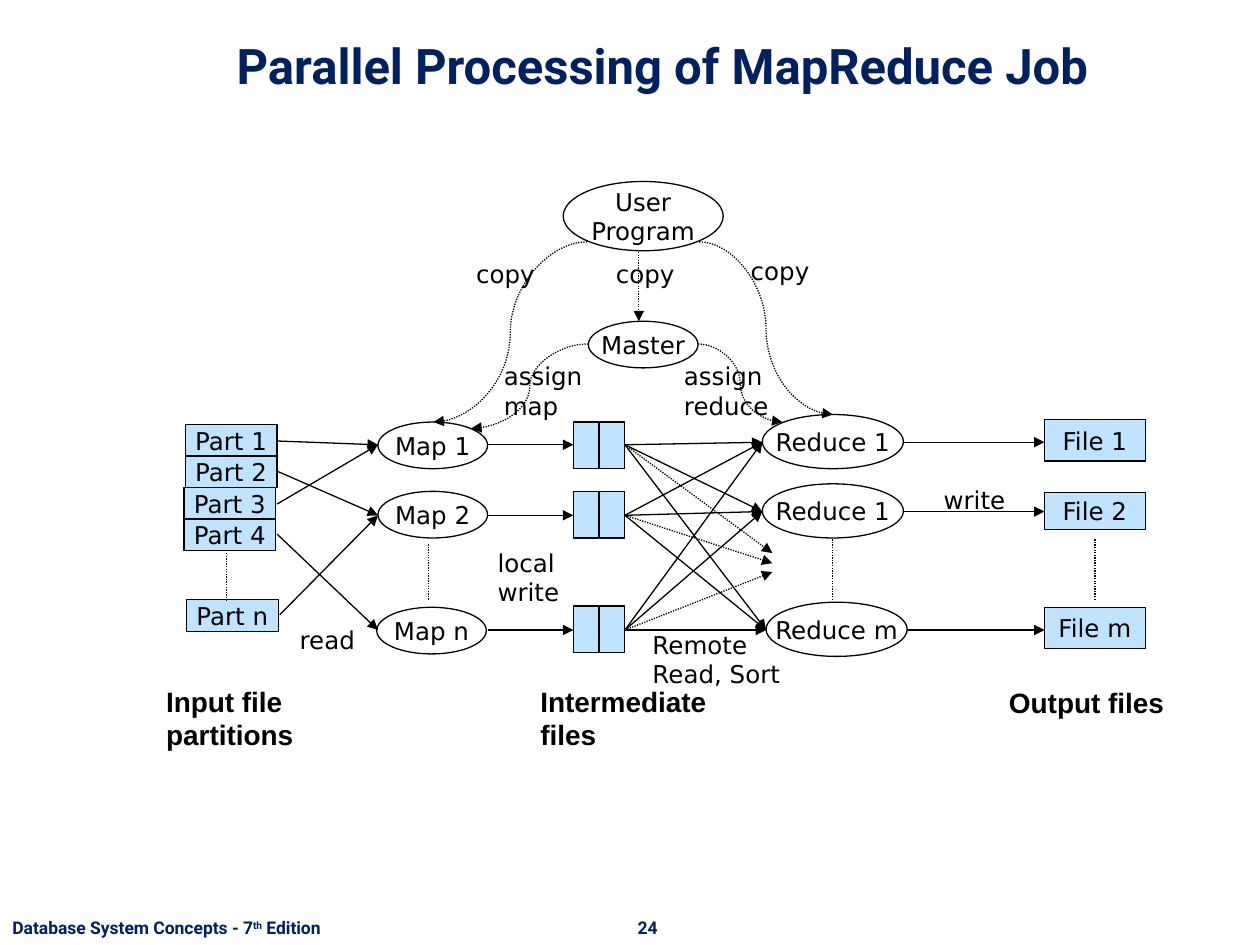
from dataclasses import dataclass
from itertools import product

from lxml import etree
from pptx import Presentation
from pptx.dml.color import RGBColor
from pptx.enum.dml import MSO_LINE
from pptx.enum.shapes import MSO_CONNECTOR, MSO_SHAPE
from pptx.enum.text import MSO_ANCHOR, PP_ALIGN
from pptx.oxml.ns import qn
from pptx.util import Inches, Pt

LEFT, CENTER = PP_ALIGN.LEFT, PP_ALIGN.CENTER
TOP, MIDDLE, BOTTOM = MSO_ANCHOR.TOP, MSO_ANCHOR.MIDDLE, MSO_ANCHOR.BOTTOM
OVAL, RECT = MSO_SHAPE.OVAL, MSO_SHAPE.RECTANGLE
STRAIGHT, CURVE = MSO_CONNECTOR.STRAIGHT, MSO_CONNECTOR.CURVE
DOTTED = MSO_LINE.ROUND_DOT
COLUMNS, ROWS = 100, 75


@dataclass(frozen=True)
class TextStyle:
    font: str
    size: float
    color: RGBColor
    bold: bool = False


class Theme:
    navy = RGBColor(0x00, 0x20, 0x60)
    black = RGBColor(0, 0, 0)
    storage = RGBColor(0x83, 0xCA, 0xFF)
    storage_alpha = 50
    line_width = 0.75
    title = TextStyle("Roboto", 28, navy, True)
    footer = TextStyle("Roboto", 10, navy, True)
    label = TextStyle("DejaVu Sans", 14, black)
    caption = TextStyle("Arial", 16, black, True)


class Diagram:
    """Draws on one slide, in columns and rows of its grid."""

    def __init__(self, prs, theme):
        self.theme = theme
        self.s = prs.slides.add_slide(prs.slide_layouts[5])
        self.col = prs.slide_width / COLUMNS
        self.row = prs.slide_height / ROWS

    def place(self, x, y, w, h):
        return (round(x * self.col), round(y * self.row),
                round(w * self.col), round(h * self.row))

    def set_text(self, tf, text, style, align, anchor, wrap=False):
        tf.word_wrap = wrap
        tf.vertical_anchor = anchor
        tf.text = text
        for p in tf.paragraphs:
            p.alignment = align
            p.font.name = style.font
            p.font.size = Pt(style.size)
            p.font.bold = style.bold
            p.font.color.rgb = style.color

    def title(self, text, *box):
        sp = self.s.shapes.title
        sp.left, sp.top, sp.width, sp.height = self.place(*box)
        self.set_text(sp.text_frame, text, self.theme.title, CENTER, BOTTOM, True)

    def text(self, text, x, y, w, h, style=None, align=LEFT):
        sp = self.s.shapes.add_textbox(*self.place(x, y, w, h))
        self.set_text(sp.text_frame, text, style or self.theme.label, align, TOP)
        return sp.text_frame

    def outline(self, line, dash=None):
        line.color.rgb = self.theme.black
        line.width = Pt(self.theme.line_width)
        if dash:
            line.dash_style = dash

    def node(self, kind, text, x, y, w, h):
        """Ovals are clear processes; rectangles are half-transparent storage."""
        sp = self.s.shapes.add_shape(kind, *self.place(x, y, w, h))
        sp.shadow.inherit = False
        self.outline(sp.line)
        if kind == OVAL:
            sp.fill.background()
        else:
            sp.fill.solid()
            sp.fill.fore_color.rgb = self.theme.storage
            color = sp._element.spPr.find(qn("a:solidFill")).find(qn("a:srgbClr"))
            etree.SubElement(color, qn("a:alpha"),
                             val=str(self.theme.storage_alpha * 1000))
        if text:
            self.set_text(sp.text_frame, text, self.theme.label, CENTER, MIDDLE)

    def link(self, start, end, dash=None, arrow=True, kind=STRAIGHT):
        cn = self.s.shapes.add_connector(kind, *self.place(*start, *end))
        self.outline(cn.line, dash)
        spPr = cn._element.spPr
        if arrow:
            etree.SubElement(spPr.find(qn("a:ln")), qn("a:tailEnd"), type="triangle")
        etree.SubElement(spPr, qn("a:effectLst"))


def draw_nodes(d):
    d.node(OVAL, "User\nProgram", 44.7, 14.4, 12.7, 5.5)
    d.node(OVAL, "Master", 46.7, 25.5, 8.7, 3.7)
    for text, x, y in (("Map 1", 30, 33.5), ("Map 2", 30, 39), ("Map n", 29.9, 48.2)):
        d.node(OVAL, text, x, y, 8.7, 3.7)
    for text, x, y in (("Reduce 1", 60.5, 32.9), ("Reduce 1", 60.5, 38.4),
                       ("Reduce m", 60.8, 47.8)):
        d.node(OVAL, text, x, y, 11.2, 4.3)
    for text, x, y in (("Part 1", 14.7, 33.7), ("Part 2", 14.7, 36.2),
                       ("Part 3", 14.6, 38.7), ("Part 4", 14.6, 41.2),
                       ("Part n", 14.8, 47.6)):
        d.node(RECT, text, x, y, 7.3, 2.5)
    for y, x in product((33.5, 39, 48.1), (45.5, 47.6)):
        d.node(RECT, "", x, y, 2, 3.7)
    for text, y, h in (("File 1", 33.3, 3.3), ("File 2", 39.1, 2.9), ("File m", 48.2, 3.3)):
        d.node(RECT, text, 82.9, y, 8, h)


def draw_links(d):
    map_rows = (35.3, 40.9, 50)
    reduce_inputs = ((60.5, 35.1), (60.5, 40.6), (60.8, 50))

    for x, y, target in ((22, 35, 0), (22, 37.4, 1), (22, 40, 0), (22, 42.4, 2),
                         (22.2, 48.8, 1)):
        d.link((x, y), (30, map_rows[target]))
    for y, unseen_reduce in zip(map_rows, (43.9, 44.7, 45.4)):
        d.link((38.7, y), (45.5, y))
        for target in reduce_inputs:
            d.link((49.6, y), target)
        d.link((49.6, y), (61.3, unseen_reduce), DOTTED)
    for x, y in reduce_inputs:
        d.link((x + 11.2, y), (82.9, y))

    d.link((50.7, 20), (50.7, 25.5), DOTTED)
    for start, end in (((46.6, 19.2), (34.4, 33.5)), ((55.5, 19.2), (66.1, 32.9)),
                       ((46.7, 27.3), (37.4, 34)), ((55.4, 27.3), (62.1, 33.5))):
        d.link(start, end, DOTTED, kind=CURVE)
    for x, top in ((18, 43.9), (34, 43.2), (66.1, 42.8), (86.9, 42.8)):
        d.link((x, top), (x, 47.6), DOTTED, arrow=False)


def draw_texts(d):
    for text, *box in (("copy", 36.8, 20.1, 7.1, 3.3), ("copy", 47.9, 20.1, 7.1, 3.3),
                       ("copy", 58.6, 19.8, 7.1, 3.3),
                       ("assign\nmap", 39, 28.2, 8.9, 5.6),
                       ("assign\nreduce", 53.3, 28.2, 8.9, 5.6),
                       ("read", 22.8, 49.1, 6.9, 3.3),
                       ("local\nwrite", 38.5, 43, 7.5, 5.6),
                       ("Remote\nRead, Sort", 50.8, 49.5, 13.5, 5.6),
                       ("write", 73.9, 38, 7.5, 3.3)):
        d.text(text, *box)
    for text, *box in (("Input file\npartitions", 12.2, 53.8, 13.2, 6.2),
                       ("Intermediate\nfiles", 41.9, 53.8, 16.6, 6.2),
                       ("Output files", 79.1, 53.9, 15.7, 3.6)):
        d.text(text, *box, style=d.theme.caption)

    footer = d.theme.footer
    d.text("24", 49.2, 72.3, 4.4, 2.7, footer, CENTER)
    p = d.text("Database System Concepts - 7", 0, 72.3, 28.1, 2.7, footer).paragraphs[0]
    r = p.add_run()
    r.text = "th"
    r.font._element.set("baseline", "30000")
    p.add_run().text = " Edition"


def main():
    prs = Presentation()
    prs.slide_width, prs.slide_height = Inches(10), Inches(7.5)
    d = Diagram(prs, Theme())
    d.title("Parallel Processing of MapReduce Job", 8.4, 1.3, 88.3, 6.7)
    draw_nodes(d)
    draw_links(d)
    draw_texts(d)
    prs.save("out.pptx")


if __name__ == "__main__":
    main()
